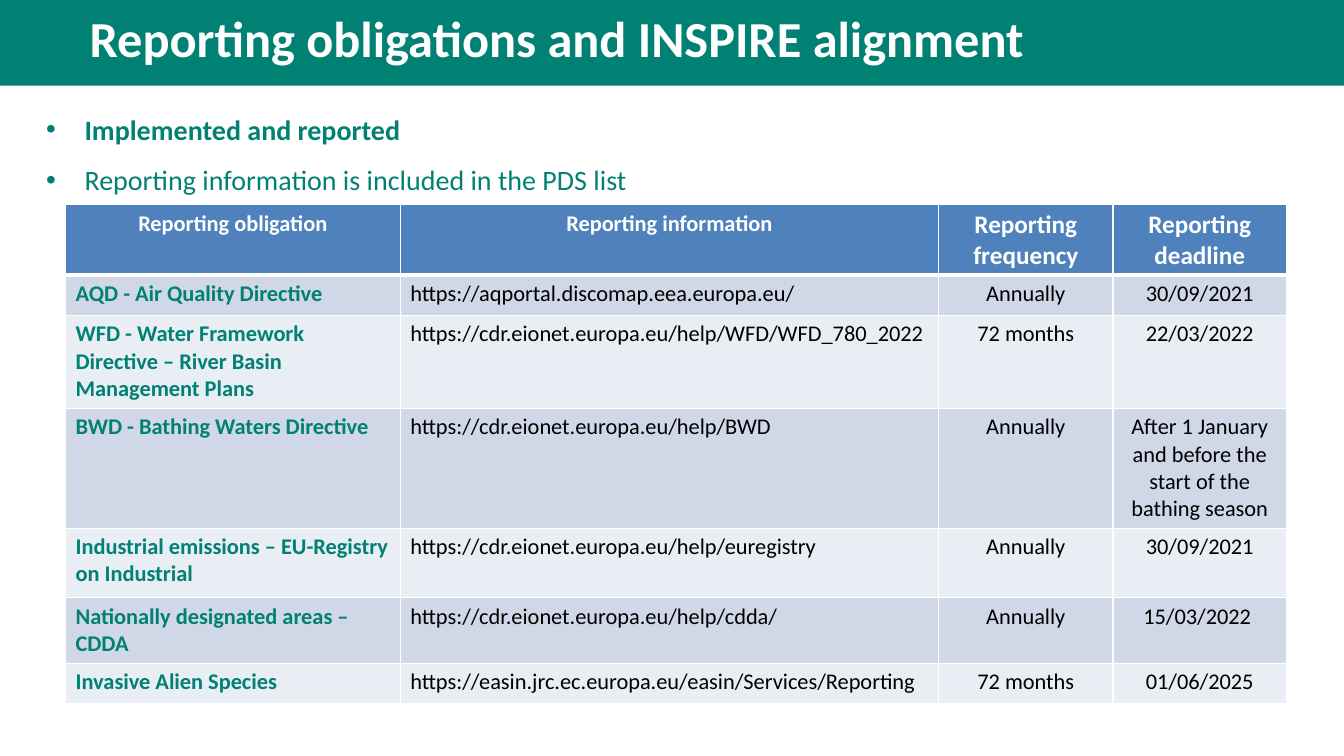
import pptx
import pptx.dml.color
import pptx.enum.shapes
import pptx.enum.text
import pptx.oxml.ns
import pptx.util
from lxml import etree

Inches = pptx.util.Inches
Pt = pptx.util.Pt
ALIGN = pptx.enum.text.PP_ALIGN
ANCHOR = pptx.enum.text.MSO_ANCHOR

COLORS = {
    "teal": "008173",
    "header": "4F81BD",
    "odd_row": "D0D8E8",
    "even_row": "E9EDF4",
    "white": "FFFFFF",
    "black": "000000",
}
HEADERS = [
    ("Reporting obligation", 16),
    ("Reporting information", 16),
    ("Reporting frequency", 18),
    ("Reporting deadline", 18),
]
OBLIGATIONS = [
    ("AQD - Air Quality Directive", "https://aqportal.discomap.eea.europa.eu/",
     "Annually", "30/09/2021"),
    ("WFD - Water Framework Directive – River Basin Management Plans",
     "https://cdr.eionet.europa.eu/help/WFD/WFD_780_2022", "72 months", "22/03/2022"),
    ("BWD - Bathing Waters Directive", "https://cdr.eionet.europa.eu/help/BWD",
     "Annually", "After 1 January and before the start of the bathing season"),
    ("Industrial emissions – EU-Registry on Industrial",
     "https://cdr.eionet.europa.eu/help/euregistry", "Annually", "30/09/2021"),
    ("Nationally designated areas – CDDA", "https://cdr.eionet.europa.eu/help/cdda/",
     "Annually", "15/03/2022 "),
    ("Invasive Alien Species", "https://easin.jrc.ec.europa.eu/easin/Services/Reporting",
     "72 months", "01/06/2025"),
]
COLUMN_WIDTHS = [3.32, 5.34, 1.73, 1.72]
ROW_HEIGHTS = [0.7, 0.4, 0.92, 1.19, 0.69, 0.65, 0.4]


def rgb(name):
    return pptx.dml.color.RGBColor.from_string(COLORS[name])


def add_xml(parent, tag, **attributes):
    return etree.SubElement(parent, pptx.oxml.ns.qn(tag), **attributes)


def write_text(paragraph, text, size=16, color="black", bold=False, align=ALIGN.LEFT,
               font="Calibri"):
    paragraph.alignment = align
    run = paragraph.add_run()
    run.text = text
    run.font.name = font
    run.font.size = Pt(size)
    run.font.bold = bold
    run.font.color.rgb = rgb(color)


def add_bullet(paragraph, color, indent=0.38):
    properties = paragraph._p.get_or_add_pPr()
    properties.set("marL", str(Inches(indent)))
    properties.set("indent", str(-Inches(indent)))
    bullet_color = add_xml(properties, "a:buClr")
    add_xml(bullet_color, "a:srgbClr", val=COLORS[color])
    add_xml(properties, "a:buFont", typeface="Arial")
    add_xml(properties, "a:buChar", char="•")


def style_cell(cell, fill, bottom_width):
    """Draw white borders, then the fill, in the order the schema asks for."""
    properties = cell._tc.get_or_add_tcPr()
    for side, width in (("L", 1), ("R", 1), ("T", 1), ("B", bottom_width)):
        line = add_xml(properties, f"a:ln{side}", w=str(Pt(width)))
        add_xml(add_xml(line, "a:solidFill"), "a:srgbClr", val=COLORS["white"])
    cell.fill.solid()
    cell.fill.fore_color.rgb = rgb(fill)


class SlideBuilder:
    def __init__(self, slide):
        self.slide = slide

    def rectangle(self, left, top, width, height, fill):
        shape = self.slide.shapes.add_shape(
            pptx.enum.shapes.MSO_SHAPE.RECTANGLE,
            Inches(left), Inches(top), Inches(width), Inches(height))
        shape.shadow.inherit = False
        shape.fill.solid()
        shape.fill.fore_color.rgb = rgb(fill)
        shape.line.fill.background()

    def text_box(self, left, top, width, height, anchor=ANCHOR.TOP):
        box = self.slide.shapes.add_textbox(
            Inches(left), Inches(top), Inches(width), Inches(height))
        frame = box.text_frame
        frame.word_wrap = True
        frame.vertical_anchor = anchor
        return frame

    def title(self, text):
        frame = self.text_box(0.79, 0, 12.54, 0.74, anchor=ANCHOR.MIDDLE)
        write_text(frame.paragraphs[0], text, size=36, color="white", bold=True)

    def bullets(self, items):
        frame = self.text_box(0.36, 0.9, 6.62, 1.13)
        for index, (text, bold) in enumerate(items):
            paragraph = frame.add_paragraph() if index else frame.paragraphs[0]
            paragraph.line_spacing = 1.5
            write_text(paragraph, text, size=20, color="teal", bold=bold)
            add_bullet(paragraph, "teal")

    def table(self, left, top):
        table = self.slide.shapes.add_table(
            len(ROW_HEIGHTS), len(COLUMN_WIDTHS), Inches(left), Inches(top),
            Inches(sum(COLUMN_WIDTHS)), Inches(sum(ROW_HEIGHTS))).table
        for column, width in zip(table.columns, COLUMN_WIDTHS):
            column.width = Inches(width)
        for row, height in zip(table.rows, ROW_HEIGHTS):
            row.height = Inches(height)
        for index, (text, size) in enumerate(HEADERS):
            cell = table.cell(0, index)
            style_cell(cell, "header", bottom_width=3)
            write_text(cell.text_frame.paragraphs[0], text, size=size, color="white",
                       bold=True, align=ALIGN.CENTER)
        for row_index, values in enumerate(OBLIGATIONS, start=1):
            fill = "odd_row" if row_index % 2 else "even_row"
            for index, text in enumerate(values):
                cell = table.cell(row_index, index)
                style_cell(cell, fill, bottom_width=1)
                write_text(cell.text_frame.paragraphs[0], text,
                           color="black" if index else "teal", bold=index == 0,
                           align=ALIGN.CENTER if index > 1 else ALIGN.LEFT)


def main():
    presentation = pptx.Presentation()
    presentation.slide_width = Inches(13.33)
    presentation.slide_height = Inches(7.5)
    builder = SlideBuilder(presentation.slides.add_slide(presentation.slide_layouts[6]))
    builder.rectangle(0, 0, 13.33, 0.85, "teal")
    builder.title("Reporting obligations and INSPIRE alignment")
    builder.bullets([
        ("Implemented and reported", True),
        ("Reporting information is included in the PDS list", False),
    ])
    builder.table(0.65, 2.03)
    presentation.save("out.pptx")


if __name__ == "__main__":
    main()
